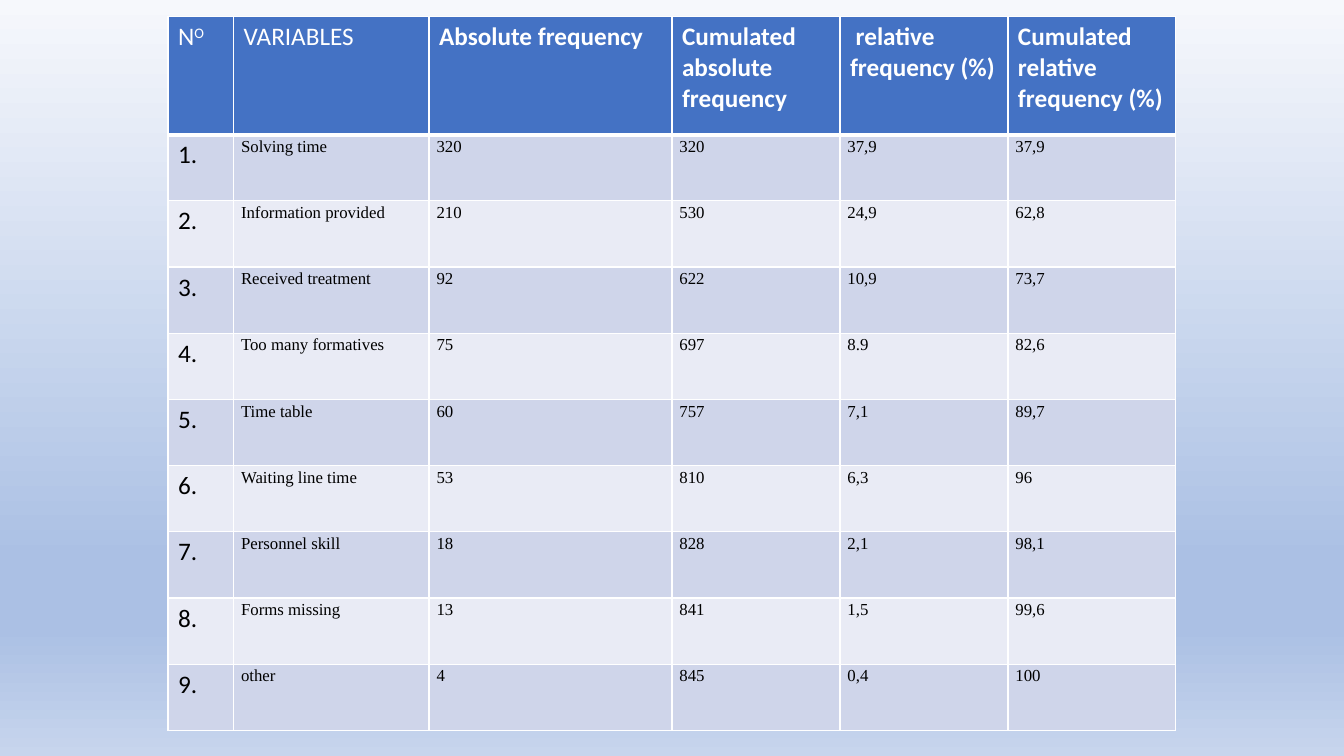
from lxml import etree
from pptx import Presentation
from pptx.dml.color import RGBColor
from pptx.oxml.ns import qn
from pptx.util import Pt

WHITE = RGBColor(0xFF, 0xFF, 0xFF)
BLACK = RGBColor(0x00, 0x00, 0x00)
HEADER_BLUE = RGBColor(0x44, 0x72, 0xC4)
BAND_DARK = RGBColor(0xCF, 0xD5, 0xEA)
BAND_LIGHT = RGBColor(0xE9, 0xEB, 0xF5)
SKY_TOP = RGBColor(0xF6, 0xF8, 0xFC)
SKY_DEEP = RGBColor(0xAB, 0xC0, 0xE4)
SKY_BOTTOM = RGBColor(0xC7, 0xD5, 0xED)

SKY_STOPS = [(0, SKY_TOP), (74, SKY_DEEP), (83, SKY_DEEP), (100, SKY_BOTTOM)]
COLUMN_WIDTHS = [46.8, 139.7, 173.5, 120, 120, 120]
HEADER_HEIGHT, ROW_HEIGHT = 84.2, 47.3

HEADERS = [
    "N", "VARIABLES", "Absolute frequency", "Cumulated absolute frequency",
    " relative frequency (%)", "Cumulated relative frequency (%)",
]
ROWS = [
    ("Solving time", "320", "320", "37,9", "37,9"),
    ("Information provided", "210", "530", "24,9", "62,8"),
    ("Received treatment", "92", "622", "10,9", "73,7"),
    ("Too many formatives", "75", "697", "8.9", "82,6"),
    ("Time table", "60", "757", "7,1", "89,7"),
    ("Waiting line time", "53", "810", "6,3", "96"),
    ("Personnel skill", "18", "828", "2,1", "98,1"),
    ("Forms missing", "13", "841", "1,5", "99,6"),
    ("other", "4", "845", "0,4", "100"),
]


def add_color_xml(parent, color):
    etree.SubElement(parent, qn("a:srgbClr"), val=str(color))


def set_gradient_background(s, stops):
    fill = s.background.fill
    fill.gradient()
    fill.gradient_angle = 270
    stop_list = next(s.element.iter(qn("a:gsLst")))
    for stop in list(stop_list):
        stop_list.remove(stop)
    for percent, color in stops:
        stop = etree.SubElement(stop_list, qn("a:gs"), pos=str(percent * 1000))
        add_color_xml(stop, color)


def set_borders(cell, bottom=1):
    """Draw white cell borders, 1 pt except for the bottom one."""
    tcPr = cell._tc.get_or_add_tcPr()
    for side, width in (("L", 1), ("R", 1), ("T", 1), ("B", bottom)):
        line = etree.SubElement(tcPr, qn(f"a:ln{side}"), w=str(Pt(width)))
        add_color_xml(etree.SubElement(line, qn("a:solidFill")), WHITE)


def fill_cell(cell, text, fill, color, size=18, font="Calibri", bold=False, bottom=1):
    set_borders(cell, bottom)
    cell.fill.solid()
    cell.fill.fore_color.rgb = fill
    cell.text = text
    p = cell.text_frame.paragraphs[0]
    p.font.size = Pt(size)
    p.font.name = font
    p.font.bold = bold
    p.font.color.rgb = color
    return p


def fill_data_cell(cell, text, fill):
    p = fill_cell(cell, text, fill, BLACK, size=12, font="Times New Roman")
    p.line_spacing = 1.15
    cell.margin_left = cell.margin_right = Pt(5.4)
    cell.margin_top = cell.margin_bottom = Pt(0)


def add_superscript(p, text):
    r = p.add_run()
    r.text = text
    r._r.get_or_add_rPr().set("baseline", "30000")


def add_frequency_table(s):
    height = HEADER_HEIGHT + ROW_HEIGHT * len(ROWS)
    frame = s.shapes.add_table(
        len(ROWS) + 1, len(HEADERS), Pt(120), Pt(12), Pt(sum(COLUMN_WIDTHS)), Pt(height))
    table = frame.table
    for column, width in zip(table.columns, COLUMN_WIDTHS):
        column.width = Pt(width)
    for i, row in enumerate(table.rows):
        row.height = Pt(ROW_HEIGHT if i else HEADER_HEIGHT)

    for j, header in enumerate(HEADERS):
        p = fill_cell(table.cell(0, j), header, HEADER_BLUE, WHITE, bold=j > 1, bottom=3)
        if j == 0:
            add_superscript(p, "O")

    for i, values in enumerate(ROWS, start=1):
        band = BAND_DARK if i % 2 else BAND_LIGHT
        fill_cell(table.cell(i, 0), f"{i}.", band, BLACK)
        for j, value in enumerate(values, start=1):
            fill_data_cell(table.cell(i, j), value, band)


def main():
    prs = Presentation()
    prs.slide_width, prs.slide_height = Pt(960), Pt(540)
    s = prs.slides.add_slide(prs.slide_layouts[6])
    set_gradient_background(s, SKY_STOPS)
    add_frequency_table(s)
    prs.save("out.pptx")


if __name__ == "__main__":
    main()
